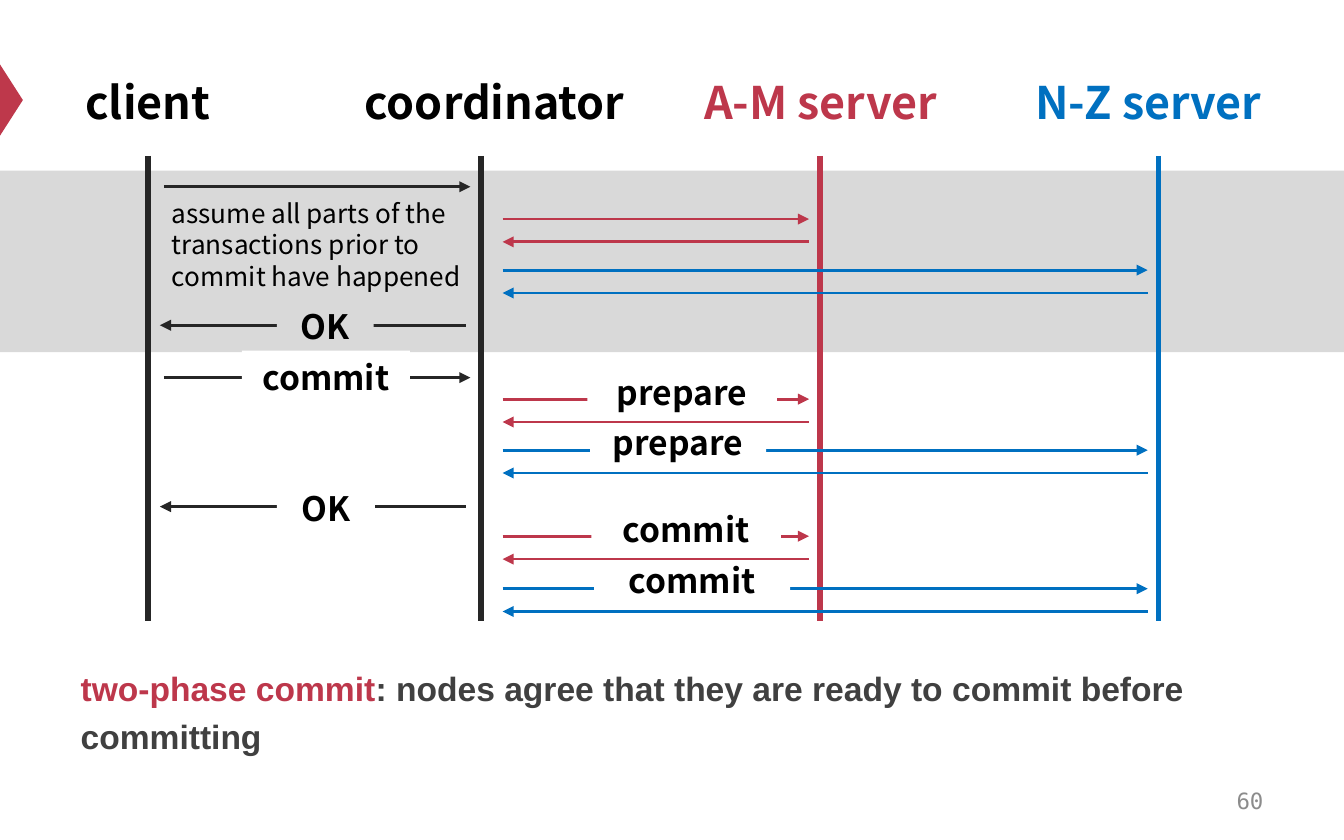
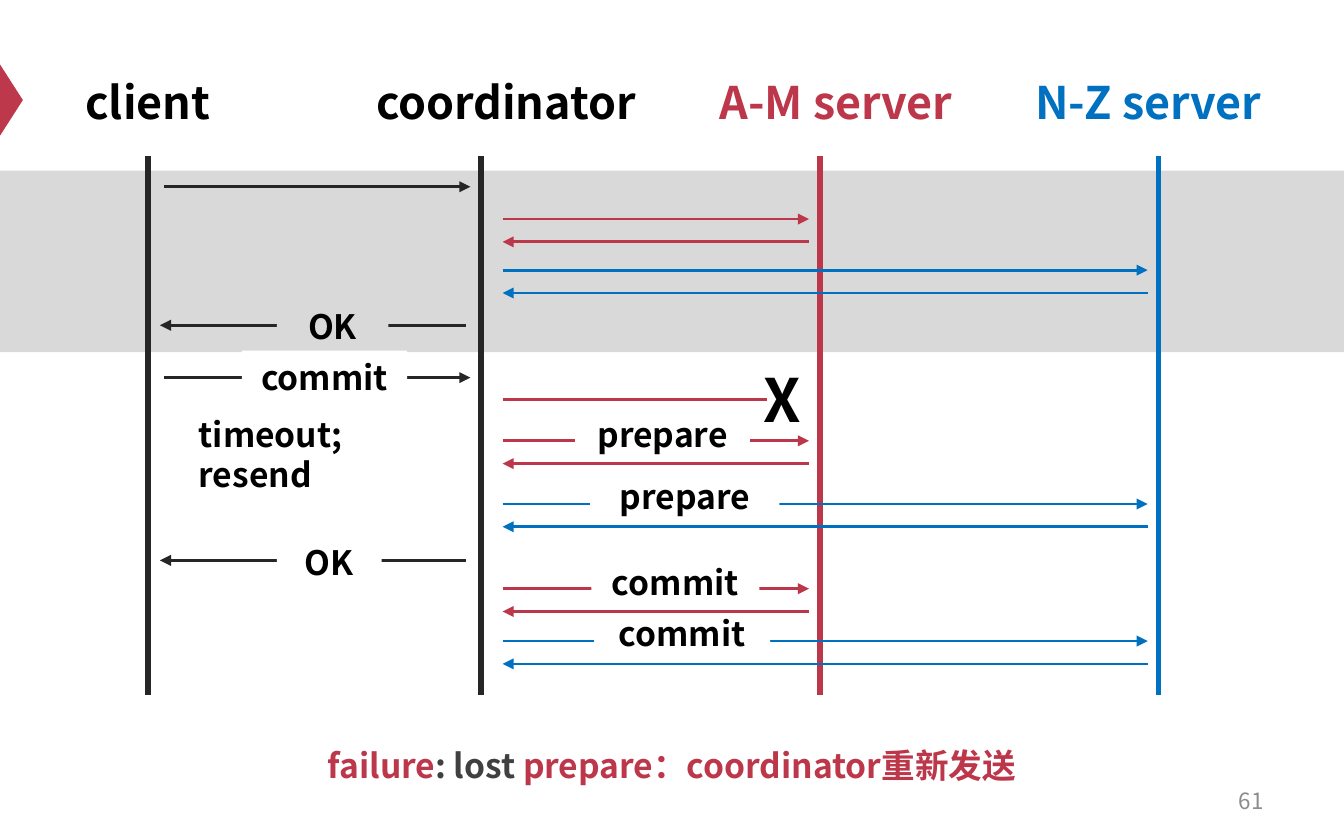
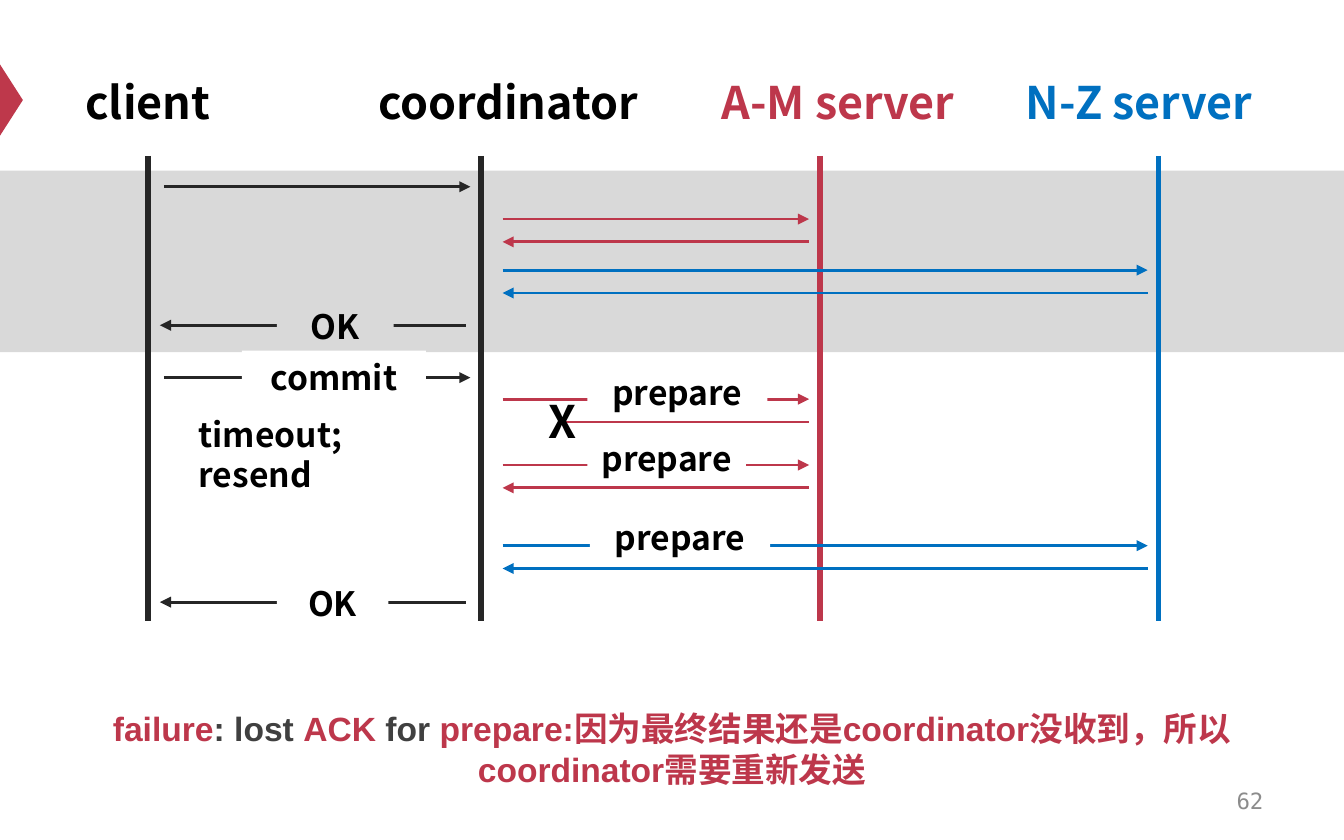
from lxml.etree import SubElement
from pptx import Presentation
from pptx.dml.color import RGBColor
from pptx.enum.shapes import MSO_CONNECTOR, MSO_SHAPE
from pptx.enum.text import MSO_ANCHOR, MSO_AUTO_SIZE, PP_ALIGN
from pptx.oxml.ns import qn
from pptx.util import Inches, Pt

SANS, ARIAL, MONO = "Noto Sans CJK SC", "Arial", "DejaVu Sans Mono"
THEME = {
    "black": "000000", "ink": "262626", "red": "BD374B", "blue": "0070C0",
    "marker": "BE384B", "band": "D9D9D9", "white": "FFFFFF", "grey": "404040",
    "number": "8C8C8C", "heading": 24, "label": 18, "note": 14, "page": 12,
    "lifeline": 3, "arrow": 1.5,
}

LIFELINES = [(1.1, "ink"), (3.58, "ink"), (6.1, "red"), (8.62, "blue")]
LIFELINE_TOP, REPLY_GAP, LABEL_H = 1.16, 0.17, 0.4
BAND = (0, 1.27, 10, 1.35)
ROUTES = {
    "client>": (1.22, 3.5, "ink", "tailEnd", 0.2),
    "client<": (1.19, 3.47, "ink", "headEnd", 0.19),
    "am>": (3.74, 6.02, "red", "tailEnd", 0.25),
    "am<": (3.74, 6.02, "red", "headEnd", 0.25),
    "nz>": (3.74, 8.54, "blue", "tailEnd", 0.26),
    "nz<": (3.74, 8.54, "blue", "headEnd", 0.26),
    "am> lost": (3.74, 5.71, "red", None, 0),
    "am< lost": (4.21, 6.02, "red", None, 0),
}


def round_trip(server, y, label=None, reply="<"):
    return [(server + ">", y, label), (server + reply, y + REPLY_GAP, None)]


def opening(ok_width, commit_width):
    return [("client>", 1.39, None), *round_trip("am", 1.63), *round_trip("nz", 2.01),
            ("client<", 2.42, ("OK", 2.06, ok_width)),
            ("client>", 2.81, ("commit", 1.8, commit_width))]


SLIDES = [
    {
        "number": ("60", MONO),
        "bottom": 4.62,
        "headings": [("client", 0.51, 1.18), ("coordinator", 2.56, 2.24),
                     ("A-M server", 5.08, 2.05), ("N-Z server", 7.52, 2.05)],
        "messages": [
            *opening(0.72, 1.25),
            *round_trip("am", 2.97, ("prepare", 4.37, 1.41)),
            *round_trip("nz", 3.35, ("prepare", 4.39, 1.31)),
            ("client<", 3.77, ("OK", 2.06, 0.73)),
            *round_trip("am", 3.99, ("commit", 4.4, 1.41)),
            *round_trip("nz", 4.38, ("commit", 4.42, 1.46)),
        ],
        "notes": [(["assume all parts of the transactions prior to",
                    "commit have happened"], (1.18, 1.42, 2.4, 0.81), "note", False, True)],
        "caption": {
            "box": (0.5, 4.86, 9, 1.18), "font": ARIAL,
            "format": {"alignment": PP_ALIGN.LEFT, "line_spacing": 1.2, "space_before": Pt(12)},
            "runs": [("two-phase commit", "red"),
                     (": nodes agree that they are ready to commit before committing", "grey")],
        },
    },
    {
        "number": ("61", SANS),
        "bottom": 5.17,
        "headings": [("client", 0.51, 1.18), ("coordinator", 2.56, 2.41),
                     ("A-M server", 5.08, 2.28), ("N-Z server", 7.52, 2.05)],
        "messages": [
            *opening(0.83, 1.23),
            ("am> lost", 2.97, None),
            *round_trip("am", 3.28, ("prepare", 4.28, 1.3)),
            *round_trip("nz", 3.75, ("prepare", 4.39, 1.41)),
            ("client<", 4.17, ("OK", 2.06, 0.78)),
            *round_trip("am", 4.38, ("commit", 4.4, 1.25)),
            *round_trip("nz", 4.77, ("commit", 4.42, 1.31)),
        ],
        "notes": [(["X"], (5.58, 2.65, 0.63, 0.64), 32, True, False),
                  (["timeout; resend"], (1.38, 3.03, 2.09, 0.4), "label", True, True)],
        "caption": {
            "box": (0.5, 5.43, 9, 0.68), "font": SANS,
            "format": {"alignment": PP_ALIGN.CENTER, "line_spacing": 1.2, "space_before": Pt(12)},
            "runs": [("failure", "red"), (": lost ", "grey"),
                     ("prepare：coordinator重新发送", "red")],
        },
    },
    {
        "number": ("62", MONO),
        "bottom": 4.62,
        "headings": [("client", 0.51, 1.18), ("coordinator", 2.56, 2.44),
                     ("A-M server", 5.08, 2.31), ("N-Z server", 7.45, 2.05)],
        "messages": [
            *opening(0.87, 1.37),
            *round_trip("am", 2.97, ("prepare", 4.37, 1.34), "< lost"),
            *round_trip("am", 3.46, ("prepare", 4.37, 1.18)),
            *round_trip("nz", 4.06, ("prepare", 4.39, 1.34)),
            ("client<", 4.48, ("OK", 2.06, 0.83)),
        ],
        "notes": [(["timeout; resend"], (1.38, 3.03, 1.9, 0.4), "label", True, True),
                  (["X"], (3.98, 2.88, 0.52, 0.5), "heading", True, False)],
        "caption": {
            "box": (0.5, 5.22, 9, 0.68), "font": ARIAL,
            "format": {"alignment": PP_ALIGN.CENTER, "line_spacing": 1.0, "space_before": Pt(13.7)},
            "runs": [("failure", "red"), (": lost ", "grey"), ("ACK ", "red"), ("for ", "grey"),
                     ("prepare:因为最终结果还是coordinator没收到，所以coordinator需要重新发送", "red")],
        },
    },
]


def apply(target, values):
    for name, value in values.items():
        setattr(target, name, value)


def rgb(name):
    return RGBColor.from_string(THEME[name])


def inches(box):
    return [Inches(v) for v in box]


def add_run(p, text, size, color="black", bold=True, font=SANS):
    r = p.add_run()
    apply(r, {"text": text})
    apply(r.font, {"name": font, "size": Pt(THEME.get(size, size)), "bold": bold})
    r.font.color.rgb = rgb(color)
    SubElement(r.font._element, qn("a:ea"), typeface=SANS)


def write(sp, lines, size, align=PP_ALIGN.LEFT, wrap=True, anchor=MSO_ANCHOR.TOP,
          grow=True, **style):
    tf = sp.text_frame
    apply(tf, {"word_wrap": wrap, "vertical_anchor": anchor,
               "auto_size": MSO_AUTO_SIZE.SHAPE_TO_FIT_TEXT if grow else MSO_AUTO_SIZE.NONE})
    for i, line in enumerate(lines):
        p = tf.add_paragraph() if i else tf.paragraphs[0]
        p.alignment = align
        add_run(p, line, size, **style)


def add_block(s, kind, box, fill):
    sp = s.shapes.add_shape(kind, *inches(box))
    sp.shadow.inherit = False
    sp.fill.solid()
    sp.fill.fore_color.rgb = rgb(fill)
    sp.line.fill.background()
    return sp


def add_line(s, start, end, color, width, arrow=None):
    cx = s.shapes.add_connector(MSO_CONNECTOR.STRAIGHT, *inches(start + end))
    cx.line.color.rgb = rgb(color)
    cx.line.width = Pt(THEME[width])
    if arrow:
        SubElement(cx.line._get_or_add_ln(), qn("a:" + arrow), type="triangle")
    SubElement(cx._element.spPr, qn("a:effectLst"))


def add_caption(s, box, font, format, runs):
    sp = s.placeholders[1]
    apply(sp, dict(zip(("left", "top", "width", "height"), inches(box))))
    tf = sp.text_frame
    apply(tf, {"auto_size": MSO_AUTO_SIZE.NONE, "word_wrap": True})
    p = tf.paragraphs[0]
    apply(p, format)
    pPr = p._p.get_or_add_pPr()
    for key in ("marL", "indent"):
        pPr.set(key, "0")
    SubElement(pPr, qn("a:buNone"))
    for text, color in runs:
        add_run(p, text, "label", color, font=font)


def add_message(s, route, y):
    x1, x2, color, arrow, _ = ROUTES[route]
    add_line(s, (x1, y), (x2, y), color, "arrow", arrow)


def add_label(s, route, y, label):
    text, left, width = label
    top = y - ROUTES[route][4]
    fill = "band" if y < BAND[1] + BAND[3] else "white"
    sp = add_block(s, MSO_SHAPE.RECTANGLE, (left, top, width, LABEL_H), fill)
    write(sp, [text], "label", PP_ALIGN.CENTER)


def add_frame(s, number, bottom, headings):
    marker = add_block(s, MSO_SHAPE.ISOSCELES_TRIANGLE, (-0.18, 0.66, 0.53, 0.17), "marker")
    marker.rotation = 90
    text, font = number
    sp = s.shapes.add_textbox(*inches((7.17, 5.79, 2.33, 0.33)))
    write(sp, [text], "page", PP_ALIGN.RIGHT, anchor=MSO_ANCHOR.MIDDLE, grow=False,
          color="number", bold=False, font=font)
    add_block(s, MSO_SHAPE.RECTANGLE, BAND, "band")
    for (x, color), (name, left, width) in zip(LIFELINES, headings):
        add_line(s, (x, LIFELINE_TOP), (x, bottom), color, "lifeline")
        sp = s.shapes.add_textbox(*inches((left, 0.51, width, 0.5)))
        write(sp, [name], "heading", PP_ALIGN.CENTER,
              color="black" if color == "ink" else color)


def add_slide(prs, data):
    s = prs.slides.add_slide(prs.slide_layouts[1])
    title = s.shapes.title._element
    title.getparent().remove(title)
    add_caption(s, **data["caption"])
    add_frame(s, data["number"], data["bottom"], data["headings"])
    labelled = [m for m in data["messages"] if m[2]]
    for route, y, _ in labelled:
        add_message(s, route, y)
    for message in labelled:
        add_label(s, *message)
    for route, y, label in data["messages"]:
        if not label:
            add_message(s, route, y)
    for lines, box, size, bold, wrap in data["notes"]:
        write(s.shapes.add_textbox(*inches(box)), lines, size, wrap=wrap, bold=bold)


def main():
    prs = Presentation()
    apply(prs, {"slide_width": Inches(10), "slide_height": Inches(6.25)})
    for data in SLIDES:
        add_slide(prs, data)
    prs.save("out.pptx")


if __name__ == "__main__":
    main()
